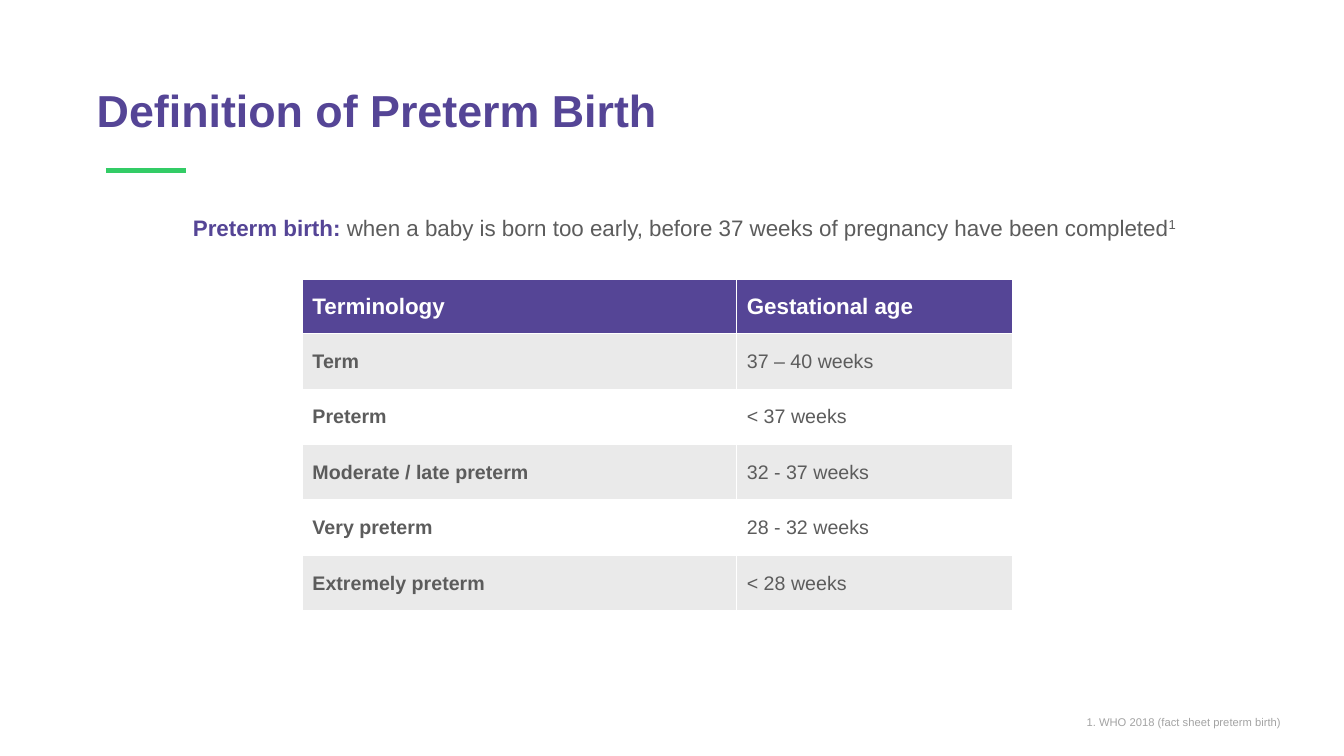
from dataclasses import dataclass

from lxml.etree import SubElement
from pptx import Presentation
from pptx.dml.color import RGBColor
from pptx.enum.shapes import MSO_CONNECTOR as Connector
from pptx.enum.text import MSO_ANCHOR as Anchor, MSO_AUTO_SIZE as AutoSize, PP_ALIGN as Align
from pptx.oxml.ns import qn
from pptx.slide import Slide
from pptx.table import _Cell as Cell
from pptx.text.text import TextFrame, _Paragraph as Paragraph
from pptx.util import Pt

COLOURS = {
    "purple": "554596",
    "green": "33CC66",
    "text": "5C5C5C",
    "note": "A3A3A3",
    "band": "EAEAEA",
    "white": "FFFFFF",
}
FONT = "Arial"
TABLE_LEFT, TABLE_TOP = 216, 199.5
COLUMN_WIDTHS = (310.3, 197.3)
HEADER_HEIGHT, ROW_HEIGHT = 38.9, 39.6
BORDER_WIDTH = 0.96


@dataclass(frozen=True)
class Span:
    text: str
    size: float
    colour: str
    bold: bool = False
    superscript: bool = False


@dataclass(frozen=True)
class TextBlock:
    left: float
    top: float
    width: float
    height: float
    spans: tuple[Span, ...]
    align: Align
    anchor: Anchor
    line_spacing: float = 1.0


@dataclass(frozen=True)
class Term:
    name: str
    age: str


TITLE = TextBlock(66.2, 28.8, 828, 104.4, (Span("Definition of Preterm Birth", 32, "purple", True),),
                  Align.LEFT, Anchor.MIDDLE, 0.9)
DEFINITION = TextBlock(
    74.9, 152.6, 828, 26.6,
    (
        Span("Preterm birth: ", 16, "purple", True),
        Span("when a baby is born too early, before 37 weeks of pregnancy have been completed", 16, "text"),
        Span("1", 16, "text", superscript=True),
    ),
    Align.CENTER, Anchor.TOP, 0.9)
REFERENCE = TextBlock(764.6, 507.6, 153.4, 16.6, (Span("1. WHO 2018 (fact sheet preterm birth)", 8, "note"),),
                      Align.RIGHT, Anchor.MIDDLE)

HEADER = Term("Terminology", "Gestational age")
TERMS = (
    Term("Term", "37 – 40 weeks"),
    Term("Preterm", "< 37 weeks"),
    Term("Moderate / late preterm", "32 - 37 weeks"),
    Term("Very preterm", "28 - 32 weeks"),
    Term("Extremely preterm", "< 28 weeks"),
)


def rgb(name: str) -> RGBColor:
    return RGBColor.from_string(COLOURS[name])


def add_span(para: Paragraph, span: Span) -> None:
    run = para.add_run()
    run.text = span.text
    run.font.name = FONT
    run.font.size = Pt(span.size)
    run.font.bold = span.bold
    run.font.color.rgb = rgb(span.colour)
    if span.superscript:
        run._r.get_or_add_rPr().set("baseline", "30000")


def fill_frame(frame: TextFrame, block: TextBlock) -> None:
    frame.word_wrap = True
    frame.auto_size = AutoSize.NONE
    frame.vertical_anchor = block.anchor
    frame.margin_left = frame.margin_right = Pt(2.9)
    frame.margin_top = frame.margin_bottom = Pt(2.2)
    para = frame.paragraphs[0]
    para.alignment = block.align
    para.line_spacing = block.line_spacing
    for span in block.spans:
        add_span(para, span)


def place_title(slide: Slide, block: TextBlock) -> None:
    title = slide.shapes.title
    title.left, title.top = Pt(block.left), Pt(block.top)
    title.width, title.height = Pt(block.width), Pt(block.height)
    fill_frame(title.text_frame, block)


def add_text(slide: Slide, block: TextBlock) -> None:
    box = slide.shapes.add_textbox(Pt(block.left), Pt(block.top), Pt(block.width), Pt(block.height))
    fill_frame(box.text_frame, block)


def add_accent(slide: Slide) -> None:
    accent = slide.shapes.add_connector(Connector.STRAIGHT, Pt(75.6), Pt(121.7), Pt(133.2), Pt(121.7))
    accent.line.color.rgb = rgb("green")
    accent.line.width = Pt(4)
    SubElement(accent._element.spPr, qn("a:effectLst"))


def add_borders(cell: Cell) -> None:
    properties = cell._tc.get_or_add_tcPr()
    for side in ("a:lnL", "a:lnR", "a:lnT", "a:lnB"):
        line = SubElement(properties, qn(side), w=str(Pt(BORDER_WIDTH)))
        fill = SubElement(line, qn("a:solidFill"))
        SubElement(fill, qn("a:srgbClr"), val=COLOURS["white"])


def fill_cell(cell: Cell, span: Span, background: str) -> None:
    add_borders(cell)
    cell.fill.solid()
    cell.fill.fore_color.rgb = rgb(background)
    cell.vertical_anchor = Anchor.MIDDLE
    add_span(cell.text_frame.paragraphs[0], span)


def add_terms_table(slide: Slide) -> None:
    height = HEADER_HEIGHT + ROW_HEIGHT * len(TERMS)
    table = slide.shapes.add_table(len(TERMS) + 1, len(COLUMN_WIDTHS), Pt(TABLE_LEFT), Pt(TABLE_TOP),
                                   Pt(sum(COLUMN_WIDTHS)), Pt(height)).table
    for column, width in zip(table.columns, COLUMN_WIDTHS):
        column.width = Pt(width)
    for index, term in enumerate((HEADER, *TERMS)):
        is_header = index == 0
        table.rows[index].height = Pt(HEADER_HEIGHT if is_header else ROW_HEIGHT)
        size, colour = (16, "white") if is_header else (14, "text")
        background = "purple" if is_header else "band" if index % 2 else "white"
        fill_cell(table.cell(index, 0), Span(term.name, size, colour, True), background)
        fill_cell(table.cell(index, 1), Span(term.age, size, colour, is_header), background)


def main() -> None:
    deck = Presentation()
    deck.slide_width, deck.slide_height = Pt(960), Pt(540)
    slide = deck.slides.add_slide(deck.slide_layouts.get_by_name("Title Only"))
    add_accent(slide)
    place_title(slide, TITLE)
    add_text(slide, DEFINITION)
    add_text(slide, REFERENCE)
    add_terms_table(slide)
    deck.save("out.pptx")


if __name__ == "__main__":
    main()
